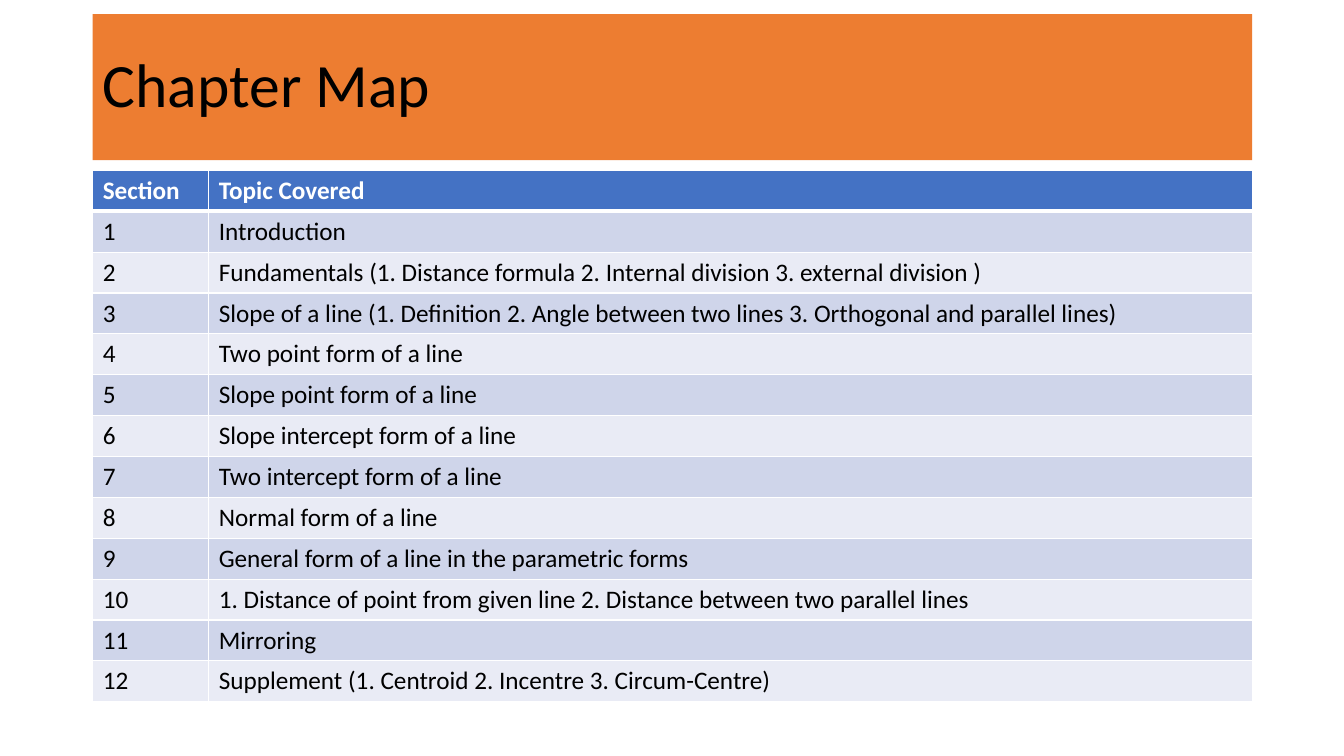
from dataclasses import dataclass

import pptx
import pptx.dml.color
import pptx.enum.shapes
import pptx.enum.text
import pptx.oxml.ns
import pptx.util
from lxml import etree
from pptx.util import Inches


@dataclass(frozen=True)
class Theme:
    font: str = "Calibri"
    title_size: int = 44
    table_size: int = 18
    dark: str = "000000"
    light: str = "FFFFFF"
    banner: str = "ED7D31"
    header: str = "4472C4"
    bands: tuple = ("CFD5EA", "E9EBF5")
    border: float = 1
    header_border: float = 3


@dataclass(frozen=True)
class Box:
    left: float
    top: float
    width: float
    height: float

    def lengths(self):
        return [Inches(side) for side in (self.left, self.top, self.width, self.height)]


THEME = Theme()
SECTION_WIDTH = 1.15
HEADINGS = ("Section", "Topic Covered")
TOPICS = (
    "Introduction",
    "Fundamentals (1. Distance formula 2. Internal division 3. external division )",
    "Slope of a line (1. Definition 2. Angle between two lines 3. Orthogonal and parallel lines)",
    "Two point form of a line",
    "Slope point form of a line",
    "Slope intercept form of a line",
    "Two intercept form of a line",
    "Normal form of a line",
    "General form of a line in the parametric forms",
    "1. Distance of point from given line 2. Distance between two parallel lines",
    "Mirroring",
    "Supplement (1. Centroid 2. Incentre 3. Circum-Centre)",
)


def rgb(color):
    return pptx.dml.color.RGBColor.from_string(color)


def write_text(frame, text, *, size, color, bold=False, line_spacing=None):
    para = frame.paragraphs[0]
    para.alignment = pptx.enum.text.PP_ALIGN.LEFT
    if line_spacing:
        para.line_spacing = line_spacing
    span = para.add_run()
    span.text = text
    span.font.name = THEME.font
    span.font.size = pptx.util.Pt(size)
    span.font.bold = bold
    span.font.color.rgb = rgb(color)


def set_borders(cell, bottom):
    qn = pptx.oxml.ns.qn
    properties = cell._tc.get_or_add_tcPr()
    for side in "LRTB":
        width = pptx.util.Pt(bottom if side == "B" else THEME.border)
        line = etree.SubElement(properties, qn(f"a:ln{side}"), w=str(width))
        fill = etree.SubElement(line, qn("a:solidFill"))
        etree.SubElement(fill, qn("a:srgbClr"), val=THEME.light)


def add_banner(page, box, title):
    banner = page.shapes.add_shape(pptx.enum.shapes.MSO_SHAPE.RECTANGLE, *box.lengths())
    banner.shadow.inherit = False
    banner.fill.solid()
    banner.fill.fore_color.rgb = rgb(THEME.banner)
    banner.line.fill.background()
    frame = banner.text_frame
    frame.word_wrap = True
    frame.vertical_anchor = pptx.enum.text.MSO_ANCHOR.MIDDLE
    write_text(frame, title, size=THEME.title_size, color=THEME.dark, line_spacing=0.9)


def add_topic_table(page, box, headings, topics):
    rows = [headings, *((str(number), topic) for number, topic in enumerate(topics, 1))]
    table = page.shapes.add_table(len(rows), len(headings), *box.lengths()).table
    table.columns[0].width = Inches(SECTION_WIDTH)
    table.columns[1].width = Inches(box.width - SECTION_WIDTH)
    for index, texts in enumerate(rows):
        table.rows[index].height = Inches(box.height / len(rows))
        is_header = index == 0
        fill = THEME.header if is_header else THEME.bands[(index - 1) % 2]
        color = THEME.light if is_header else THEME.dark
        for column, text in enumerate(texts):
            cell = table.cell(index, column)
            set_borders(cell, THEME.header_border if is_header else THEME.border)
            cell.fill.solid()
            cell.fill.fore_color.rgb = rgb(fill)
            write_text(cell.text_frame, text, size=THEME.table_size, color=color, bold=is_header)


def main():
    deck = pptx.Presentation()
    deck.slide_width = Inches(13.33)
    deck.slide_height = Inches(7.5)
    page = deck.slides.add_slide(deck.slide_layouts[6])
    add_banner(page, Box(0.92, 0.14, 11.5, 1.45), "Chapter Map")
    add_topic_table(page, Box(0.92, 1.69, 11.5, 5.27), HEADINGS, TOPICS)
    deck.save("out.pptx")


if __name__ == "__main__":
    main()
